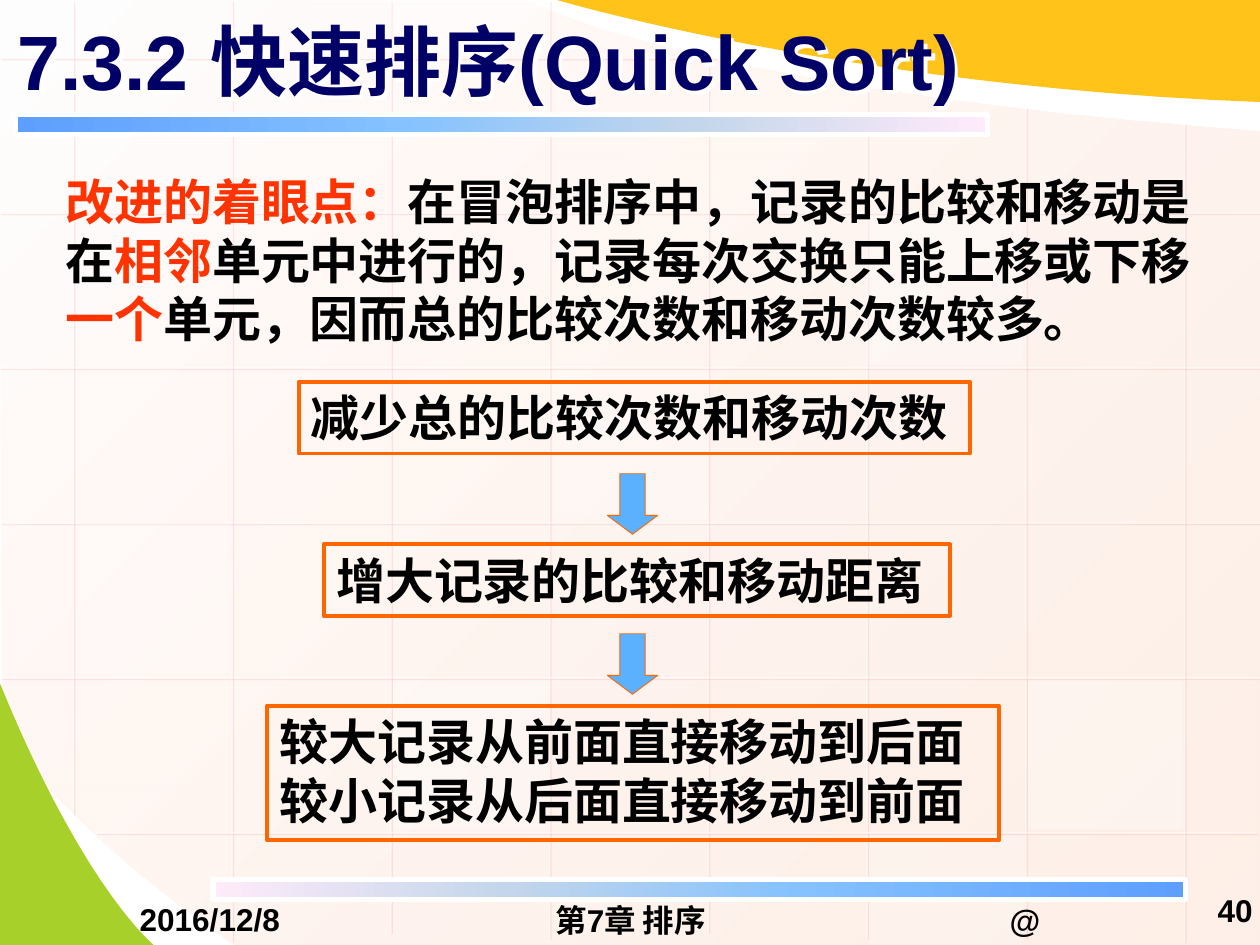
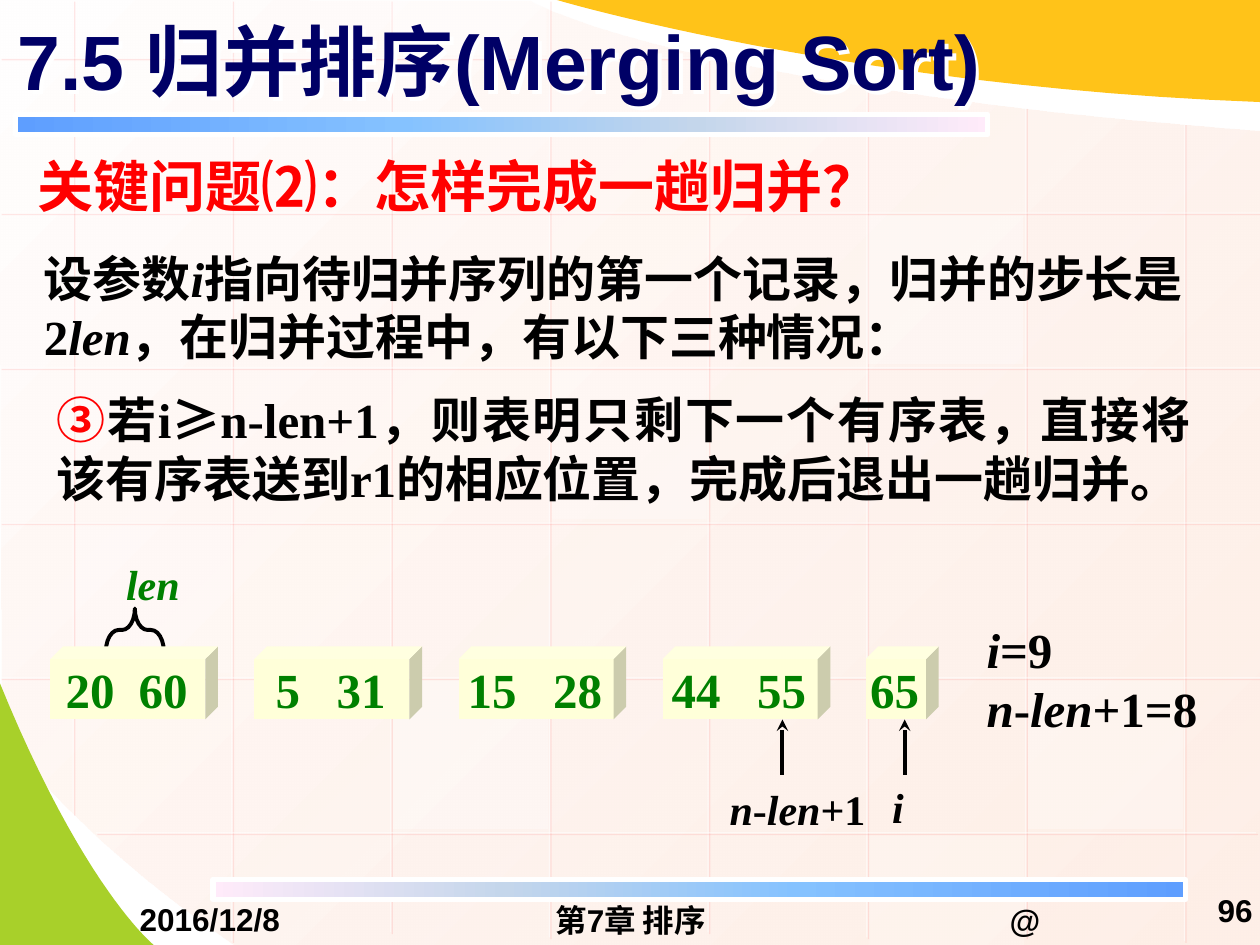
from dataclasses import dataclass

from lxml import etree
from pptx import Presentation
from pptx import util as u
from pptx.dml.color import RGBColor
from pptx.enum import shapes, text
from pptx.oxml import ns

Inches, Pt = u.Inches, u.Pt
SHAPE, ALIGN, ANCHOR = shapes.MSO_SHAPE, text.PP_ALIGN, text.MSO_ANCHOR


@dataclass(frozen=True)
class Theme:
    sans: str = "Arial"
    serif: str = "Times New Roman"
    cjk: str = "Noto Sans CJK SC"
    black: str = "000000"
    white: str = "FFFFFF"
    navy: str = "000066"
    red: str = "FF0000"
    vermilion: str = "FF3300"
    orange: str = "FF6600"
    green: str = "008000"
    sky: str = "5CB1FE"
    cream: str = "FFFFD9"
    lime: str = "A8D02A"
    amber: str = "FFC319"
    grid_shadow: str = "FF7575"
    paper: tuple = ((0, "FFFEFE", 100), (100, "FEE9DE", 70))
    bar: tuple = ((0, "5E9EFF", 100), (40, "85C2FF", 100),
                  (70, "C4D6EB", 100), (100, "FFEBFA", 100))
    title: int = 44
    heading: int = 32
    body: int = 28
    label: int = 24
    footer: int = 18


THEME = Theme()
ITALIC, UPRIGHT = {"italic": True}, {"italic": False}
SERIF, CJK = {"name": THEME.serif}, {"name": THEME.cjk}


def add_xml(parent, tag, **attributes):
    child = etree.SubElement(parent, ns.qn(tag))
    for name, value in attributes.items():
        child.set(name, str(value))
    return child


def add_color(parent, color, alpha=100):
    node = add_xml(parent, "a:srgbClr", val=color)
    if alpha < 100:
        add_xml(node, "a:alpha", val=alpha * 1000)


def set_alpha(fill_parent, alpha):
    """Make the solid fill directly below fill_parent translucent."""
    color = fill_parent.find(ns.qn("a:solidFill")).find(ns.qn("a:srgbClr"))
    add_xml(color, "a:alpha", val=alpha * 1000)


def set_shadow(item, color=None, alpha=100, distance=0):
    """Set the effect list: empty, or a hard shadow to the lower right."""
    properties = item._element.spPr
    for old in properties.findall(ns.qn("a:effectLst")):
        properties.remove(old)
    effects = add_xml(properties, "a:effectLst")
    if color:
        shadow = add_xml(effects, "a:outerShdw", dist=Pt(distance), dir=45 * 60000,
                         algn="ctr", rotWithShape=0)
        add_color(shadow, color, alpha)


def trace(start, *steps, parts=24):
    """Points of an outline; a step is one corner or three Bezier points."""
    points = [start]
    for step in steps:
        if len(step) == 2:
            points.append(step)
            continue
        p0, (p1, p2, p3) = points[-1], step
        for t in (n / parts for n in range(1, parts + 1)):
            s = 1 - t
            points.append(tuple(
                s**3 * a + 3 * s * s * t * b + 3 * s * t * t * c + t**3 * d
                for a, b, c, d in zip(p0, p1, p2, p3)))
    return points


class Page:
    def __init__(self, deck, theme, title, number):
        self.theme = theme
        self.slide = deck.slides.add_slide(deck.slide_layouts[6])
        self.backdrop()
        self.frame(title, number)

    def paint(self, shape, fill=None, line=None, width=1, alpha=100):
        shape.shadow.inherit = False
        if isinstance(fill, tuple):
            self.gradient(shape, fill)
        elif fill:
            shape.fill.solid()
            shape.fill.fore_color.rgb = RGBColor.from_string(fill)
            if alpha < 100:
                set_alpha(shape._element.spPr, alpha)
        else:
            shape.fill.background()
        if line:
            shape.line.color.rgb = RGBColor.from_string(line)
            shape.line.width = Pt(width)
        else:
            shape.line.fill.background()

    def gradient(self, shape, stops):
        shape.fill.gradient()
        shape.fill.gradient_angle = 0
        fill = shape._element.spPr.find(ns.qn("a:gradFill"))
        stop_list = fill.find(ns.qn("a:gsLst"))
        for old in list(stop_list):
            stop_list.remove(old)
        for position, color, alpha in stops:
            add_color(add_xml(stop_list, "a:gs", pos=position * 1000), color, alpha)
        if stops is self.theme.paper:
            fill.find(ns.qn("a:lin")).set("ang", str(45 * 60000))

    def shape(self, kind, at, adjust=(), **look):
        shape = self.slide.shapes.add_shape(kind, *map(Inches, at))
        for index, value in enumerate(adjust):
            shape.adjustments[index] = value
        self.paint(shape, **look)
        return shape

    def outline(self, points, fill):
        corners = [(Inches(x), Inches(y)) for x, y in points]
        builder = self.slide.shapes.build_freeform(*corners[0])
        builder.add_line_segments(corners[1:], close=True)
        self.paint(builder.convert_to_shape(), fill)

    def line(self, start, end, color, width):
        line = self.slide.shapes.add_connector(
            shapes.MSO_CONNECTOR.STRAIGHT, *map(Inches, (*start, *end)))
        line.line.color.rgb = RGBColor.from_string(color)
        line.line.width = Pt(width)
        set_shadow(line)
        return line

    def grid_line(self, start, end):
        line = self.line(start, end, self.theme.white, 0.75)
        set_alpha(line.line._get_or_add_ln(), 50)
        set_shadow(line, self.theme.grid_shadow, 33, 1.4)

    def arrow(self, start, end):
        line = self.line(start, end, self.theme.black, 2.25)
        add_xml(line.line._get_or_add_ln(), "a:tailEnd", type="stealth")

    def fill_text(self, box, paras, align=ALIGN.LEFT, anchor=ANCHOR.TOP,
                  inset=(0.1, 0.05), tab=None, **base):
        """Fill a box; each paragraph is a list of (words, format changes)."""
        frame = box.text_frame
        side, edge = map(Inches, inset)
        layout = {"word_wrap": True, "vertical_anchor": anchor, "margin_left": side,
                  "margin_right": side, "margin_top": edge, "margin_bottom": edge}
        for name, value in layout.items():
            setattr(frame, name, value)
        look = {"name": self.theme.serif, "size": self.theme.body,
                "color": self.theme.black, "bold": True, **base}
        for index, spans in enumerate(paras):
            para = frame.add_paragraph() if index else frame.paragraphs[0]
            para.alignment = align
            if tab:
                tabs = add_xml(para._p.get_or_add_pPr(), "a:tabLst")
                add_xml(tabs, "a:tab", pos=Inches(tab), algn="l")
            for words, changes in spans:
                look.update(changes)
                self.span(para, words, look)
        return box

    def span(self, para, words, look):
        span = para.add_run()
        span.text = words
        for name, value in look.items():
            if name == "color":
                span.font.color.rgb = RGBColor.from_string(value)
            else:
                setattr(span.font, name, Pt(value) if name == "size" else value)
        add_xml(span._r.get_or_add_rPr(), "a:ea", typeface=self.theme.cjk)

    def text(self, at, *paras, **options):
        box = self.slide.shapes.add_textbox(*map(Inches, at))
        return self.fill_text(box, paras, **options)

    def label(self, at, *paras, **options):
        return self.text(at, *paras, inset=(0, 0),
                         **{"size": self.theme.label, **options})

    def backdrop(self):
        theme = self.theme
        self.outline(trace((10.01, 1.04), (10.01, 7.49), (1.87, 7.5),
                           ((0.55, 6.6), (0.01, 5.8), (0.02, 5.8)),
                           (-0.01, -0.01), (4.21, 0.01),
                           ((4.21, 0.01), (5.37, 0.69), (10.01, 1.04))), theme.paper)
        self.outline(trace((-0.01, 5.4), (-0.01, 7.5), (1.22, 7.5),
                           ((1.22, 7.5), (0.66, 7.05), (-0.01, 5.4))), theme.lime)
        columns = ((0, 6.46), (0, 7.47), (0, 7.4), (0, 7.44),
                   (0.43, 7.4), (0.68, 7.44), (0.85, 7.44), (0.98, 7.47))
        for index, (top, bottom) in enumerate(columns):
            x = 0.58 + 1.26 * index
            self.grid_line((x, top), (x, bottom))
        rows = ((0, 5.68), *[(0, 10.01)] * 4, (0.76, 9.97))
        for index, (left, right) in enumerate(rows):
            y = 0.46 + 1.23 * index
            self.grid_line((right, y), (left, y))
        tiles = ((4.38, 2.94, 1.18, 25), (8.16, 5.4, 1.18, 30), (0.6, 4.16, 1.18, 20),
                 (6.9, 6.63, 0.87, 20), (3.11, 0, 0.44, 40), (3.12, 5.4, 1.18, 30),
                 (6.89, 1.71, 1.18, 30))
        for left, top, height, alpha in tiles:
            self.shape(SHAPE.RECTANGLE, (left, top, 1.23, height),
                       fill=theme.white, alpha=alpha)
        self.outline(trace((10, 0.81), (10, 0), (4.42, 0),
                           ((4.42, 0), (6.74, 0.69), (10, 0.81))), theme.amber)

    def frame(self, title, number):
        """Title, gradient bars and footers."""
        theme = self.theme
        mirrored = tuple((100 - at, *rest) for at, *rest in reversed(theme.bar))
        for left, top, stops in ((0.12, 0.91, theme.bar), (1.69, 6.98, mirrored)):
            self.shape(SHAPE.RECTANGLE, (left, top, 7.72, 0.16), fill=stops,
                       line=theme.white, width=3)
        heading = self.text((0.04, -0.03, 9, 1.01), [(title, {})], anchor=ANCHOR.MIDDLE,
                            name=theme.sans, size=theme.title, color=theme.navy)
        heading.fill.background()
        set_shadow(heading, theme.white, distance=3)
        footers = (((0.5, 7.14, 2.33, 0.3), "2016/12/8", ALIGN.CENTER),
                   ((3.42, 7.15, 3.17, 0.3), "第7章 排序", ALIGN.CENTER),
                   ((6.97, 7.15, 2.33, 0.3), "@", ALIGN.CENTER),
                   ((9.38, 6.98, 0.66, 0.49), str(number), ALIGN.RIGHT))
        for at, words, align in footers:
            self.text(at, [(words, {})], align=align, anchor=ANCHOR.MIDDLE,
                      inset=(0.1, 0), name=theme.sans, size=theme.footer)

    def step(self, at, *lines):
        box = self.shape(SHAPE.RECTANGLE, at, line=self.theme.orange, width=2.25)
        self.fill_text(box, [[(words, {})] for words in lines], name=self.theme.sans)

    def run_block(self, left, top, width, numbers, gap=0):
        """A cube holding one sorted run, its numbers centred on the front face."""
        digit = self.theme.body / 72 / 2
        content = digit * len("".join(numbers)) + gap
        cube = self.shape(SHAPE.CUBE, (left, top, width, 0.58), (0.173,),
                          fill=self.theme.cream)
        margin = (width - 0.1 - content) / 2
        self.fill_text(cube, [[("\t".join(numbers), {})]], anchor=ANCHOR.MIDDLE,
                       inset=(margin - 0.01, 0), color=self.theme.green,
                       tab=digit * len(numbers[0]) + gap if gap else None)


def quick_sort(deck):
    page = Page(deck, THEME, "7.3.2 快速排序(Quick Sort)", 40)
    accent, plain = {"color": THEME.vermilion}, {"color": THEME.black}
    page.text((0.42, 1.31, 9.25, 1.5), [
        ("改进的着眼点：", accent), ("在冒泡排序中，记录的比较和移动是在", plain),
        ("相邻", accent), ("单元中进行的，记录每次交换只能上移或下移", plain),
        ("一个", accent), ("单元，因而总的比较次数和移动次数较多。", plain)])
    page.step((2.37, 3.03, 5.33, 0.57), "减少总的比较次数和移动次数")
    page.step((2.57, 4.32, 4.97, 0.57), "增大记录的比较和移动距离")
    page.step((2.12, 5.6, 5.81, 1.07), "较大记录从前面直接移动到后面",
              "较小记录从后面直接移动到前面")
    for top in (3.76, 5.03):
        page.shape(SHAPE.DOWN_ARROW, (4.82, top, 0.4, 0.48), (0.5, 0.374),
                   fill=THEME.sky, line=THEME.orange, width=0.5)


def merging_sort(deck):
    page = Page(deck, THEME, "7.5 归并排序(Merging Sort)", 96)
    page.text((0.2, 1.15, 9.61, 0.64), [
        ("关键问题⑵：", CJK), ("怎样完成一趟归并？", {"name": THEME.sans})],
        size=THEME.heading, color=THEME.red)
    page.text((0.25, 1.92, 9.58, 1.03), [
        ("设参数", {}), ("i", ITALIC),
        ("指向待归并序列的第一个记录，归并的步长是2", UPRIGHT),
        ("len", ITALIC), ("，在归并过程中，有以下三种情况：", UPRIGHT)])
    page.text((0.35, 3.04, 9.2, 1.03), [
        ("③", {"color": THEME.red}), ("若", {**CJK, "color": THEME.black}),
        ("i", SERIF), ("≥", CJK), ("n-len+1", SERIF),
        ("，则表明只剩下一个有序表，直接将该有序表送到", CJK), ("r1", SERIF),
        ("的相应位置，完成后退出一趟归并。 ", CJK)], align=ALIGN.JUSTIFY)

    position = [("n", ITALIC), ("-", UPRIGHT), ("len", ITALIC)]
    for x in (7.18, 6.21):
        page.arrow((x, 6.15), (x, 5.71))
    page.label((7.08, 6.2, 0.2, 0.4), [("i", ITALIC)])
    page.label((5.79, 6.22, 1.13, 0.4), [*position, ("+1", UPRIGHT)])
    page.label((7.83, 4.92, 1.87, 0.93), [("i", ITALIC), ("=9", UPRIGHT)],
               [*position, ("+1=8", UPRIGHT)], size=THEME.body)

    brace = page.shape(SHAPE.LEFT_BRACE, (0.9, 4.77, 0.34, 0.46), (0.298, 0.5),
                       line=THEME.black, width=2.25)
    brace.rotation = 90
    page.label((1, 4.43, 0.99, 0.4), [("len", ITALIC)], color=THEME.green)
    runs = ((("20", "60"), 0.19), (("5", "31"), 0.29),
            (("15", "28"), 0.29), (("44", "55"), 0.29))
    for index, (numbers, gap) in enumerate(runs):
        page.run_block(0.4 + 1.62 * index, 5.13, 1.33, numbers, gap)
    page.run_block(6.87, 5.13, 0.58, ("65",))


def main():
    deck = Presentation()
    deck.slide_width, deck.slide_height = Inches(10), Inches(7.5)
    quick_sort(deck)
    merging_sort(deck)
    deck.save("out.pptx")


if __name__ == "__main__":
    main()
